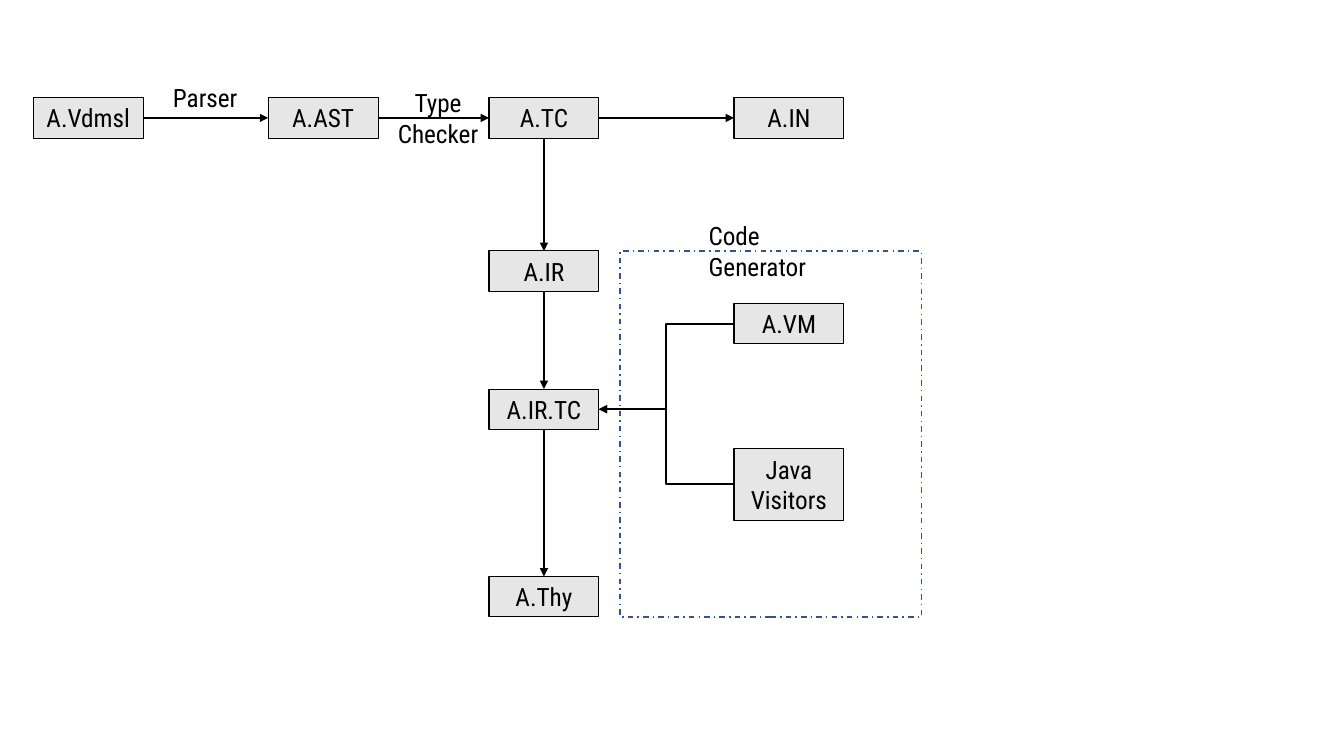
from lxml import etree
from pptx import Presentation, util as u
from pptx.dml.color import RGBColor
from pptx.enum import dml, shapes, text
from pptx.oxml import ns

TOP, LEFT, BASE, RIGHT = range(4)


def color(code):
    return RGBColor.from_string(code)


class Chart:
    """Draws the boxes, arrows and labels of a flow diagram on one slide."""

    font, size, ink, fill = "Roboto Condensed", 18, "000000", "E7E6E6"

    def __init__(self, slide):
        self.items = slide.shapes

    def letter(self, shape, words, align):
        frame = shape.text_frame
        frame.text = words
        frame.word_wrap = True
        frame.auto_size = text.MSO_AUTO_SIZE.SHAPE_TO_FIT_TEXT
        for para in frame.paragraphs:
            para.alignment = align
            for run in para.runs:
                run.font.name = self.font
                run.font.size = u.Pt(self.size)
                run.font.color.rgb = color(self.ink)

    def rect(self, x, y, w, h, line, width):
        shape = self.items.add_shape(shapes.MSO_SHAPE.RECTANGLE, *map(u.Inches, (x, y, w, h)))
        shape.shadow.inherit = False
        shape.line.color.rgb = color(line)
        shape.line.width = u.Pt(width)
        return shape

    def box(self, words, x, y, h=0.4):
        shape = self.rect(x, y, 1.09, h, self.ink, 0.75)
        shape.fill.solid()
        shape.fill.fore_color.rgb = color(self.fill)
        self.letter(shape, words, text.PP_ALIGN.CENTER)
        return shape

    def frame(self, x, y, w, h):
        shape = self.rect(x, y, w, h, "325491", 1)
        shape.fill.background()
        shape.line.dash_style = dml.MSO_LINE.DASH_DOT

    def label(self, words, x, y, h=0.4, align=text.PP_ALIGN.CENTER):
        shape = self.items.add_textbox(*map(u.Inches, (x, y, 1.57, h)))
        self.letter(shape, words, align)

    def arrow(self, start, out, end, into, kind=shapes.MSO_CONNECTOR.STRAIGHT):
        link = self.items.add_connector(kind, 0, 0, 0, 0)
        link.begin_connect(start, out)
        link.end_connect(end, into)
        link.line.color.rgb = color(self.ink)
        link.line.width = u.Pt(1.5)
        props = link._element.spPr
        etree.SubElement(props.find(ns.qn("a:ln")), ns.qn("a:tailEnd"), type="triangle")
        etree.SubElement(props, ns.qn("a:effectLst"))


def main():
    deck = Presentation()
    deck.slide_width, deck.slide_height = u.Inches(13.33), u.Inches(7.5)
    chart = Chart(deck.slides.add_slide(deck.slide_layouts[6]))

    mid, side, top = 4.85, 7.28, 0.97
    row = [chart.box(words, x, top) for words, x in
           (("A.Vdmsl", 0.33), ("A.AST", 2.66), ("A.TC", mid), ("A.IN", side))]
    stack = [row[2]] + [chart.box(words, mid, y) for words, y in
                        (("A.IR", 2.49), ("A.IR.TC", 3.86), ("A.Thy", 5.72))]
    parts = [chart.box("A.VM", side, 3.01), chart.box("Java Visitors", side, 4.45, 0.71)]

    for start, end in zip(row, row[1:]):
        chart.arrow(start, RIGHT, end, LEFT)
    for start, end in zip(stack, stack[1:]):
        chart.arrow(start, BASE, end, TOP)
    for part in parts:
        chart.arrow(part, LEFT, stack[2], RIGHT, shapes.MSO_CONNECTOR.ELBOW)

    chart.frame(6.15, 2.49, 2.99, 3.63)
    chart.label("Code Generator", 6.93, 2.14, align=text.PP_ALIGN.LEFT)
    chart.label("Parser", 1.25, 0.77)
    chart.label("Type\nChecker", 3.56, 0.82, 0.71)
    deck.save("out.pptx")


if __name__ == "__main__":
    main()
